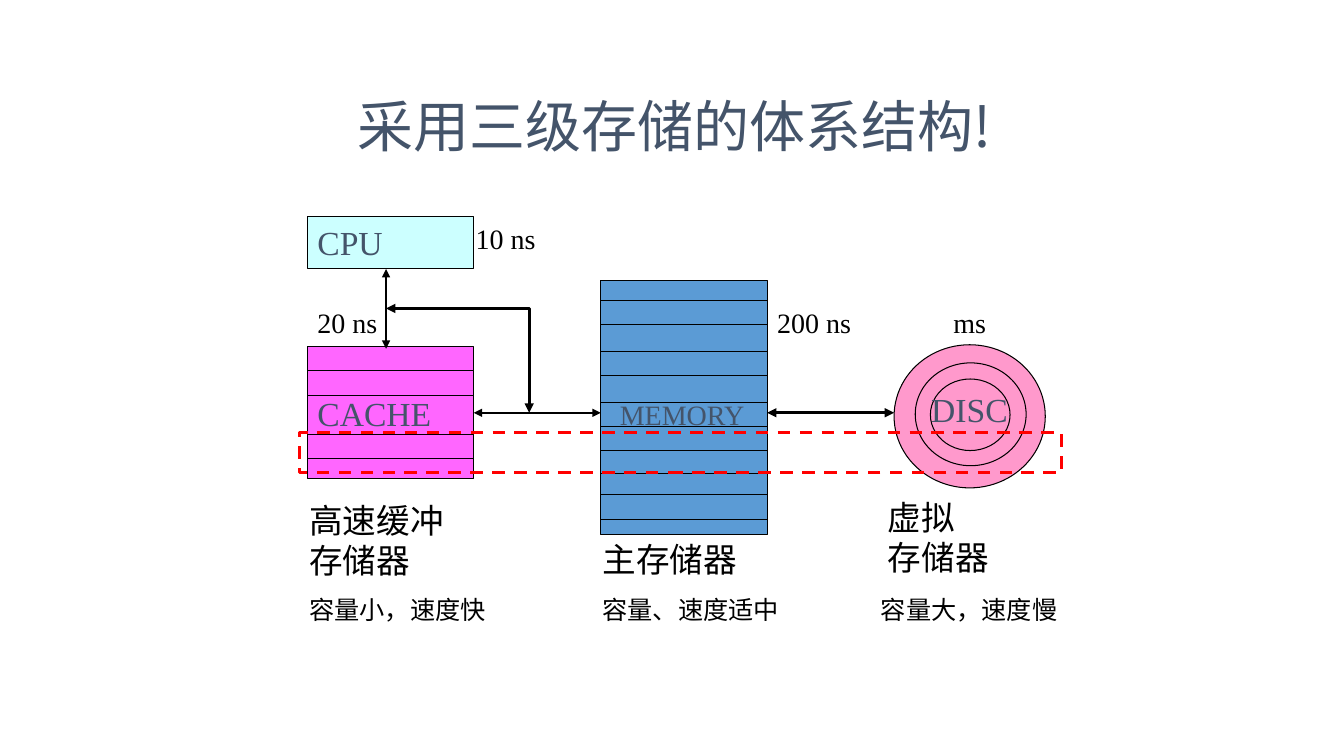
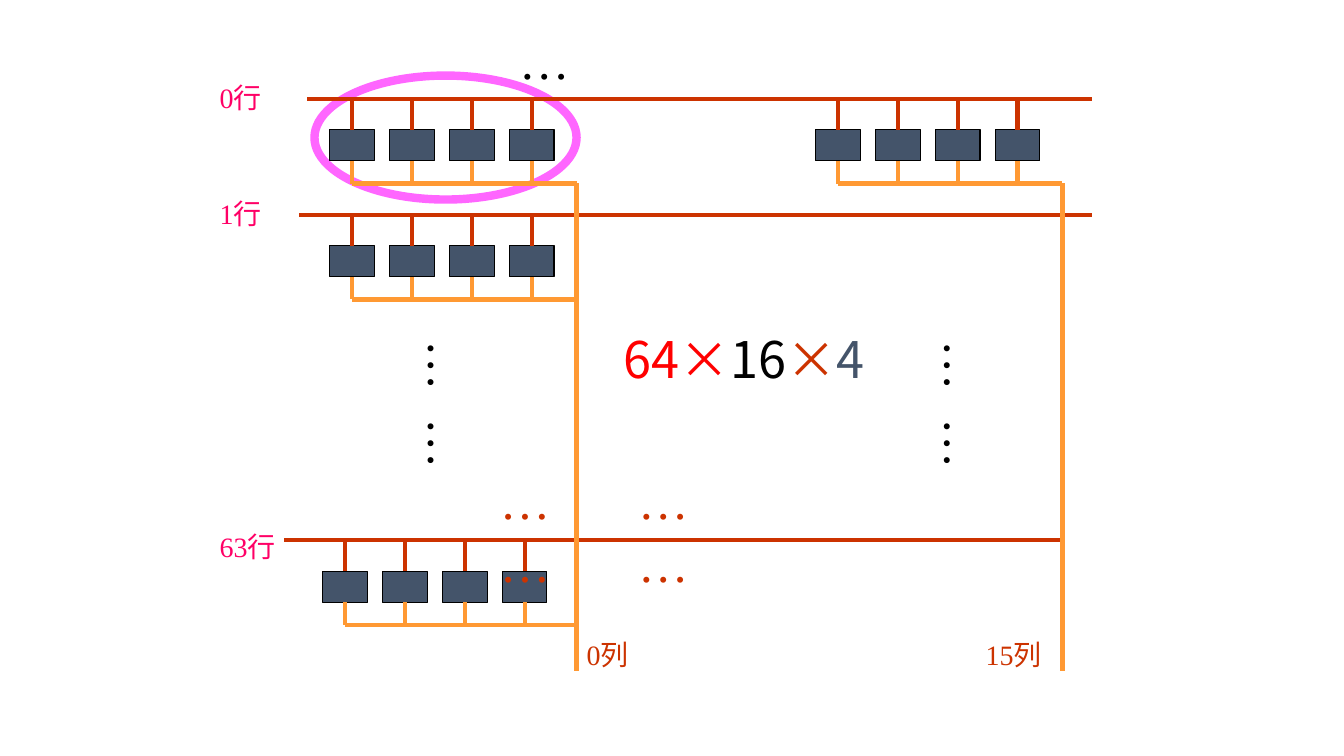
from lxml import etree
from pptx import Presentation, util as u
from pptx.dml.color import RGBColor
from pptx.enum import dml, shapes, text
from pptx.oxml.ns import qn

GRID = u.Inches(0.1)
COLUMNS, ROWS = 133.33, 75

BLACK = RGBColor(0x00, 0x00, 0x00)
SLATE = RGBColor(0x44, 0x54, 0x6A)
CYAN = RGBColor(0xCC, 0xFF, 0xFF)
MAGENTA = RGBColor(0xFF, 0x66, 0xFF)
BLUE = RGBColor(0x5B, 0x9B, 0xD5)
PINK = RGBColor(0xFF, 0x99, 0xCC)
RED = RGBColor(0xFF, 0x00, 0x00)
RUST = RGBColor(0xCC, 0x33, 0x00)
ORANGE = RGBColor(0xFF, 0x99, 0x33)
ROSE = RGBColor(0xFF, 0x00, 0x66)

SERIF = "Times New Roman"
SANS = "Noto Sans CJK SC"
RECT = shapes.MSO_SHAPE.RECTANGLE
OVAL = shapes.MSO_SHAPE.OVAL
LEFT, CENTER = text.PP_ALIGN.LEFT, text.PP_ALIGN.CENTER
TOP, MIDDLE = text.MSO_ANCHOR.TOP, text.MSO_ANCHOR.MIDDLE

CELL_WIDTH, CELL_HEIGHT, CELL_PITCH, CELLS = 4.45, 3.08, 5.94, 4
TAP, STUB = 3.08, 2.25


def grid(*cells):
    return [round(cell * GRID) for cell in cells]


def style_line(line, color, weight, arrows=False):
    line.color.rgb = color
    line.width = u.Pt(weight)
    if arrows:
        ln = line._get_or_add_ln()
        for end in ("a:headEnd", "a:tailEnd"):
            etree.SubElement(ln, qn(end), type="triangle")


def outline(slide, kind, box, fill=None, color=BLACK, weight=0.75):
    shape = slide.shapes.add_shape(kind, *grid(*box))
    shape.shadow.inherit = False
    if fill is None:
        shape.fill.background()
    else:
        shape.fill.solid()
        shape.fill.fore_color.rgb = fill
    style_line(shape.line, color, weight)
    return shape


def wire(slide, start, end, color=BLACK, weight=0.75, arrows=False):
    link = slide.shapes.add_connector(
        shapes.MSO_CONNECTOR.STRAIGHT, *grid(*start, *end))
    style_line(link.line, color, weight, arrows)
    etree.SubElement(link._element.spPr, qn("a:effectLst"))
    return link


def write(shape, lines, size, font=SERIF, align=LEFT, anchor=TOP, wrap=True):
    frame = shape.text_frame
    frame.word_wrap = wrap
    frame.vertical_anchor = anchor
    for index, runs in enumerate(lines):
        line = frame.add_paragraph() if index else frame.paragraphs[0]
        line.alignment = align
        for words, color in runs:
            run = line.add_run()
            run.text = words
            run.font.size = u.Pt(size)
            run.font.name = font
            run.font.color.rgb = color
    return frame


def label(slide, box, words, size, color=BLACK, **options):
    area = slide.shapes.add_textbox(*grid(*box))
    lines = [[(line, color)] for line in words.split("\n")]
    return write(area, lines, size, **options)


def striped_block(slide, box, fill, stripes):
    block = outline(slide, RECT, box, fill)
    left, _, width, _ = box
    for y in stripes:
        wire(slide, (left, y), (left + width, y))
    return block


def cell_group(slide, left, row_y, column_x):
    cell_y = row_y + TAP
    bus_y = cell_y + CELL_HEIGHT + STUB
    for index in range(CELLS):
        x = left + index * CELL_PITCH
        middle = x + CELL_WIDTH / 2
        cell = outline(slide, RECT, (x, cell_y, CELL_WIDTH, CELL_HEIGHT), SLATE)
        tap = wire(slide, (middle, row_y), (middle, cell_y), RUST, 3)
        tap.end_connect(cell, 0)
        stub = wire(slide, (middle, cell_y + CELL_HEIGHT), (middle, bus_y), ORANGE, 3)
        stub.begin_connect(cell, 2)
    wire(slide, (left + CELL_WIDTH / 2, bus_y), (column_x, bus_y), ORANGE, 3)


def dots(slide, center_x, center_y, color):
    label(slide, (center_x - 5, center_y - 4.7, 10, 7), "…", 36, color, align=CENTER)


def vertical_dots(slide, left, top):
    frame = label(slide, (left, top, 8.1, 8.4), "…", 36)
    frame._txBody.bodyPr.set("vert", "eaVert")


def hierarchy_slide(slide):
    cache_x, memory_x, width = 30.5, 59.6, 16.5
    cache_top, cache_height = 34.4, 13.1
    bus_y = cache_top + cache_height / 2
    disc_x = 88.7

    cpu = outline(slide, RECT, (cache_x, 21.5, width, 5.1), CYAN)
    write(cpu, [[("CPU", SLATE)]], 24, anchor=MIDDLE)
    cache = striped_block(slide, (cache_x, cache_top, width, cache_height),
                          MAGENTA, (36.8, 39.2, 43.1, 45.5))
    write(cache, [[("CACHE", SLATE)]], 24, anchor=MIDDLE)
    striped_block(slide, (memory_x, 27.8, width, 12.4), BLUE, (29.8, 32.2, 34.9, 37.3))
    striped_block(slide, (memory_x, 39.9, width, 13.1), BLUE,
                  (42.3, 44.7, 47, 49.1, 51.5))

    outline(slide, OVAL, (disc_x, 34.2, 15, 14.2), PINK)
    for track in ((90.8, 36, 11, 10.2), (92.3, 37.6, 7.9, 7.1)):
        outline(slide, OVAL, track)
    label(slide, (91.4, 38.1, 11, 5), "DISC", 24, SLATE)

    wire(slide, (memory_x + width, bus_y), (disc_x, bus_y), BLACK, 2.25, True)
    wire(slide, (38.3, 26.7), (38.3, 34.6), BLACK, 1.5, True)
    cache_bus = wire(slide, (cache_x + width, bus_y), (memory_x, bus_y),
                     BLACK, 1.5, True)
    cache_bus.begin_connect(cache, 3)

    bypass_path = slide.shapes.build_freeform(*grid(38.3, 30.6))
    bypass_path.add_line_segments(
        [grid(52.5, 30.6), grid(52.5, bus_y)], close=False)
    bypass = bypass_path.convert_to_shape()
    bypass.shadow.inherit = False
    bypass.fill.background()
    style_line(bypass.line, BLACK, 2.25, True)

    for x, y, height, name in (
            (29.7, 49.1, 9.1, "高速缓冲\n存储器"),
            (58.8, 53, 5, "主存储器"),
            (87.1, 48.8, 9.1, "虚拟\n存储器")):
        label(slide, (x, y, 18.1, height), name, 24)
    for x, trait in ((29.7, "容量小，速度快"), (58.8, "容量、速度适中"),
                     (86.4, "容量大，速度慢")):
        label(slide, (x, 58.5, 21.3, 4), trait, 18)
    label(slide, (60.5, 38.9, 14.5, 4.4), "MEMORY", 20, SLATE, wrap=False)

    title = label(slide, (34.5, 10, 69.2, 5.8), "采用三级存储的体系结构!", 40, SLATE,
                  font=SANS, anchor=MIDDLE)
    title.paragraphs[0].line_spacing = 0.89

    page = outline(slide, RECT, (29.7, 42.9, 75.6, 4), None, RED, 2.25)
    page.line.dash_style = dml.MSO_LINE.DASH

    for x, y, span, delay in ((46.2, 21.5, 8.1, "10 ns"), (30.5, 29.8, 8.1, "20 ns"),
                              (76.1, 29.8, 9.5, "200 ns"), (93.6, 29.8, 5.4, "ms")):
        label(slide, (x, y, span, 4.3), delay, 20, wrap=False)


def matrix_slide(slide):
    first_column, last_column = 57.2, 105.4
    rows = ((9.8, 30.5, 108.3), (21.3, 29.7, 108.3), (53.6, 28.2, last_column))

    outline(slide, OVAL, (31.2, 7.5, 26, 12.3), None, MAGENTA, 6)
    for y, start, end in rows:
        wire(slide, (start, y), (end, y), RUST, 3)
    for x in (first_column, last_column):
        wire(slide, (x, 18.2), (x, 66.6), ORANGE, 3)
    for left, row, column_x in ((32.7, 0, first_column), (32.7, 1, first_column),
                                (32, 2, first_column), (80.9, 0, last_column)):
        cell_group(slide, left, rows[row][0], column_x)

    for y, name in ((7.5, "0行"), (19, "1行"), (52, "63行")):
        label(slide, (20.8, y, 8.2, 4.3), name, 20, ROSE)
    for x, name in ((57.2, "0列"), (96.8, "15列")):
        label(slide, (x, 62.8, 8.2, 4.3), name, 20, RUST)

    capacity = slide.shapes.add_textbox(*grid(60.9, 32.1, 28.2, 7))
    write(capacity, [[("64×", RED), ("16", BLACK), ("×", RUST), ("4", SLATE)]],
          36, font=SANS)

    dots(slide, 54, 7.1, BLACK)
    for y in (50.8, 57):
        for x in (52.1, 65.8):
            dots(slide, x, y, RUST)
    for x in (39.9, 91.1):
        for y in (32.8, 40.5):
            vertical_dots(slide, x, y)


def main():
    deck = Presentation()
    deck.slide_width, deck.slide_height = grid(COLUMNS, ROWS)
    blank = deck.slide_layouts[6]
    for build in (hierarchy_slide, matrix_slide):
        build(deck.slides.add_slide(blank))
    deck.save("out.pptx")


if __name__ == "__main__":
    main()
